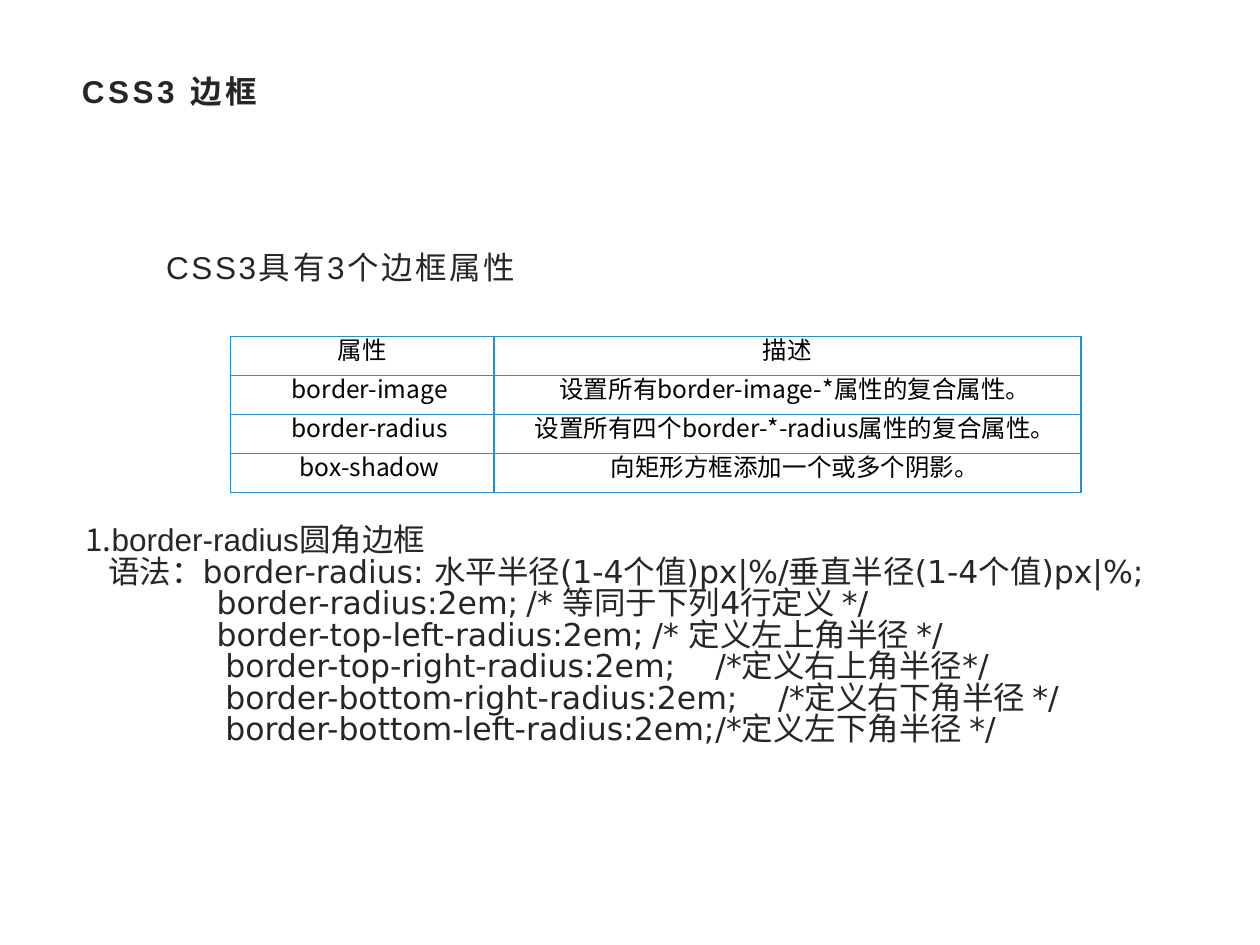
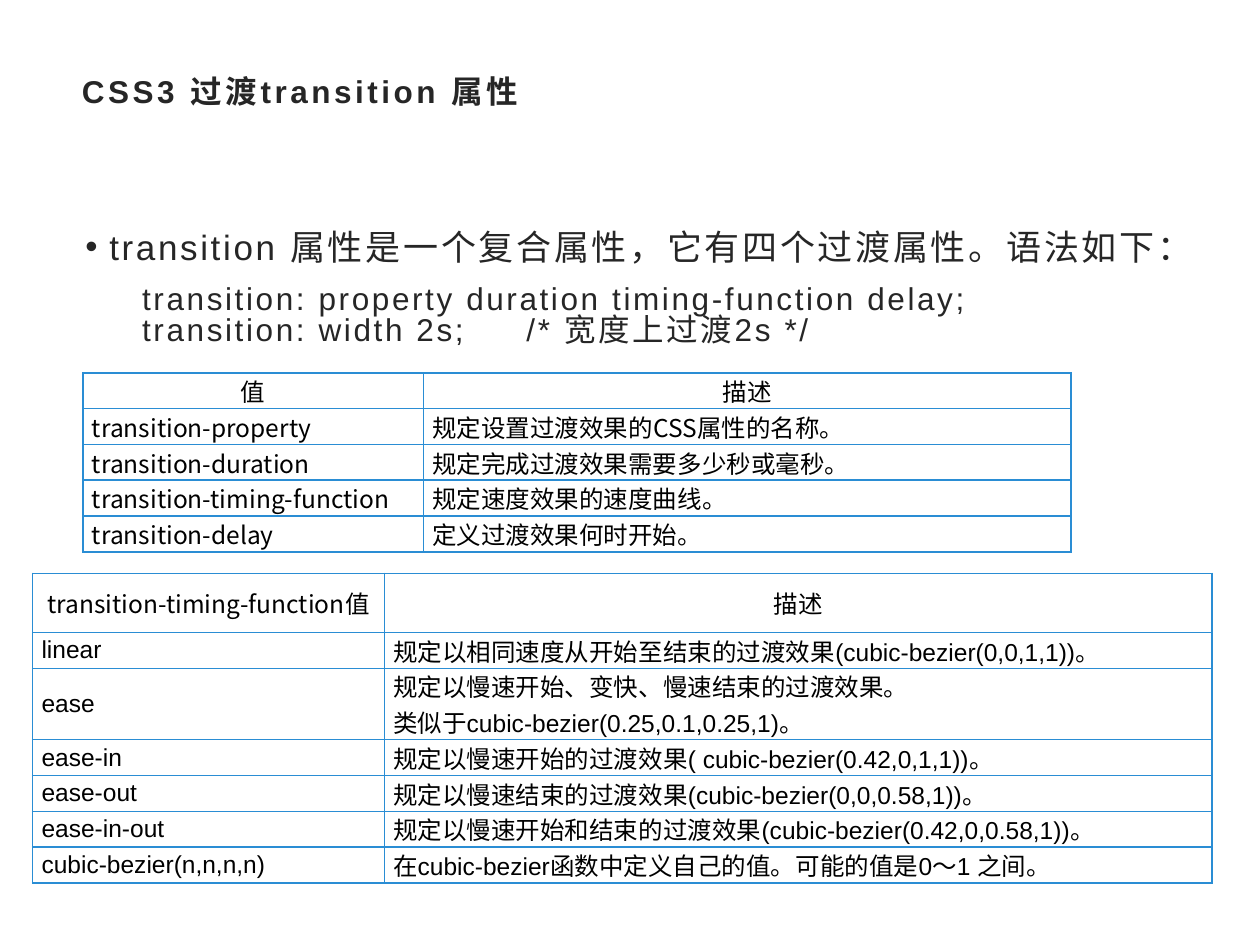
from dataclasses import dataclass, replace
from typing import Optional, Union

from lxml.etree import SubElement
from pptx import Presentation
from pptx.dml.color import RGBColor
from pptx.enum.text import MSO_ANCHOR as Anchor, MSO_AUTO_SIZE as AutoSize, PP_ALIGN as Align
from pptx.oxml import parse_xml
from pptx.oxml.ns import nsdecls, qn
from pptx.util import Pt

EMU_PER_PX = 9144
INK = "262626"
CELL_INK = "000000"
GRID = "2A8DD4"
ARIAL = "Arial"
CJK = "Noto Sans CJK SC"
MONO = "DejaVu Sans"
TITLE_ONLY = 5


@dataclass(frozen=True)
class Style:
    font: str
    size: int
    color: str = INK
    bold: bool = False
    tracking: int = 0


@dataclass(frozen=True)
class Span:
    text: str
    style: Style


@dataclass(frozen=True)
class Para:
    spans: tuple[Span, ...]
    align: Align = Align.LEFT
    spacing: Union[float, Pt] = 1.0
    after: int = 0
    margin: int = 0
    indent: int = 0
    tab: Optional[int] = None
    bullet: bool = False


@dataclass(frozen=True)
class Box:
    left: int
    top: int
    width: int
    height: int


@dataclass(frozen=True)
class Grid:
    left: int
    top: int
    columns: tuple[int, ...]
    rows: tuple[int, ...]
    cells: tuple[tuple[tuple[Para, ...], ...], ...]


TITLE_BOX = Box(55, 48, 890, 48)
TITLE = Style(ARIAL, 18, bold=True, tracking=200)
LEAD = Style(ARIAL, 18, tracking=150)
BIG_LEAD = replace(LEAD, size=20)
CODE = Style(MONO, 18)
CJK_CELL = Style(CJK, 14, CELL_INK)
ARIAL_CELL = Style(ARIAL, 14, CELL_INK)
CODE_SPACING = Pt(18)


def px(value: int) -> int:
    return value * EMU_PER_PX


def rgb(color: str) -> RGBColor:
    return RGBColor.from_string(color)


def line(text: str, style: Style, **layout) -> Para:
    return Para((Span(text, style),), **layout)


def code(text: str, indent: int, tab: Optional[int] = None) -> Para:
    return line(text, CODE, spacing=CODE_SPACING, indent=indent, tab=tab)


def format_run(run, style: Style) -> None:
    run.font.name = style.font
    run.font.size = Pt(style.size)
    run.font.bold = style.bold
    run.font.color.rgb = rgb(style.color)
    properties = run.font._element
    SubElement(properties, qn("a:ea"), typeface=CJK)
    if style.tracking:
        properties.set("spc", str(style.tracking))


def write(frame, paras: tuple[Para, ...]) -> None:
    for index, para in enumerate(paras):
        paragraph = frame.add_paragraph() if index else frame.paragraphs[0]
        properties = paragraph._p.get_or_add_pPr()
        properties.set("marL", str(px(para.margin)))
        properties.set("indent", str(px(para.indent)))
        if para.bullet:
            SubElement(properties, qn("a:buFont"), typeface=ARIAL)
            SubElement(properties, qn("a:buChar"), char="•")
        else:
            SubElement(properties, qn("a:buNone"))
        if para.tab is not None:
            tabs = SubElement(properties, qn("a:tabLst"))
            SubElement(tabs, qn("a:tab"), pos=str(px(para.tab)), algn="l")
        paragraph.alignment = para.align
        paragraph.line_spacing = para.spacing
        paragraph.space_before = Pt(0)
        paragraph.space_after = Pt(para.after)
        for span in para.spans:
            run = paragraph.add_run()
            run.text = span.text
            format_run(run, span.style)


def set_frame(frame, anchor: Anchor) -> None:
    frame.word_wrap = True
    frame.auto_size = AutoSize.NONE
    frame.vertical_anchor = anchor
    frame.margin_left = frame.margin_right = px(10)
    frame.margin_top = frame.margin_bottom = px(5)


def add_page(deck, title: str):
    page = deck.slides.add_slide(deck.slide_layouts[TITLE_ONLY])
    holder = page.shapes.title
    holder.left, holder.top = px(TITLE_BOX.left), px(TITLE_BOX.top)
    holder.width, holder.height = px(TITLE_BOX.width), px(TITLE_BOX.height)
    set_frame(holder.text_frame, Anchor.MIDDLE)
    write(holder.text_frame, (line(title, TITLE),))
    return page


def add_text(page, box: Box, paras: tuple[Para, ...]) -> None:
    shape = page.shapes.add_textbox(px(box.left), px(box.top), px(box.width), px(box.height))
    set_frame(shape.text_frame, Anchor.TOP)
    write(shape.text_frame, paras)


def set_borders(cell) -> None:
    properties = cell._tc.get_or_add_tcPr()
    for index, side in enumerate(("lnL", "lnR", "lnT", "lnB")):
        border = parse_xml(
            f'<a:{side} {nsdecls("a")} w="{Pt(1)}"><a:solidFill>'
            f'<a:srgbClr val="{GRID}"/></a:solidFill></a:{side}>'
        )
        properties.insert(index, border)


def add_grid(page, grid: Grid) -> None:
    table = page.shapes.add_table(
        len(grid.rows), len(grid.columns), px(grid.left), px(grid.top),
        px(sum(grid.columns)), px(sum(grid.rows)),
    ).table
    table.first_row = table.horz_banding = False
    for column, width in zip(table.columns, grid.columns):
        column.width = px(width)
    for row, height, contents in zip(table.rows, grid.rows, grid.cells):
        row.height = px(height)
        for cell, paras in zip(row.cells, contents):
            cell.fill.background()
            set_borders(cell)
            cell.vertical_anchor = Anchor.MIDDLE
            cell.margin_left = cell.margin_right = px(7)
            cell.margin_top = cell.margin_bottom = 0
            write(cell.text_frame, paras)


def cell_rows(rows, style: Style, **layout):
    return tuple(
        tuple(tuple(line(text, style, **layout) for text in cell.splitlines()) for cell in row)
        for row in rows
    )


def build_border_page(deck) -> None:
    page = add_page(deck, "CSS3 边框")
    add_text(page, Box(58, 183, 931, 75), (
        line("CSS3具有3个边框属性", LEAD, spacing=1.3, indent=64),
    ))
    centered = dict(align=Align.CENTER, spacing=Pt(12))
    header = cell_rows((("属性", "描述"),), CJK_CELL, **centered)
    properties = cell_rows((
        ("border-image", "设置所有border-image-*属性的复合属性。"),
        ("border-radius", "设置所有四个border-*-radius属性的复合属性。"),
        ("box-shadow", "向矩形方框添加一个或多个阴影。"),
    ), CJK_CELL, indent=12, **centered)
    add_grid(page, Grid(183, 267, (209, 466), (31,) * 4, header + properties))
    add_text(page, Box(58, 408, 931, 200), (
        Para((Span("1.", Style(CJK, 18)), Span("border-radius圆角边框", Style(ARIAL, 18)))),
        code("语法：border-radius: 水平半径(1-4个值)px|%/垂直半径(1-4个值)px|%;", 18),
        code("border-radius:2em;\t/* 等同于下列4行定义 */", 104, 470),
        code("border-top-left-radius:2em;\t/* 定义左上角半径 */", 104, 522),
        code("border-top-right-radius:2em;\t/*定义右上角半径*/", 111, 531),
        code("border-bottom-right-radius:2em;\t/*定义右下角半径 */", 111, 549),
        code("border-bottom-left-radius:2em;\t/*定义左下角半径 */", 111, 546),
    ))


def build_transition_page(deck) -> None:
    page = add_page(deck, "CSS3 过渡transition 属性")
    syntax = dict(spacing=CODE_SPACING, indent=45)
    add_text(page, Box(58, 164, 933, 100), (
        line("transition 属性是一个复合属性，它有四个过渡属性。语法如下：", BIG_LEAD,
             spacing=1.3, after=10, margin=19, indent=-19, bullet=True),
        line("transition: property duration timing-function delay;", LEAD, **syntax),
        line("transition: width 2s;\t/* 宽度上过渡2s */", LEAD, tab=330, **syntax),
    ))
    header = cell_rows((("值", "描述"),), CJK_CELL, align=Align.CENTER)
    properties = cell_rows((
        ("transition-property", "规定设置过渡效果的CSS属性的名称。"),
        ("transition-duration", "规定完成过渡效果需要多少秒或毫秒。"),
        ("transition-timing-function", "规定速度效果的速度曲线。"),
        ("transition-delay", "定义过渡效果何时开始。"),
    ), CJK_CELL, align=Align.JUSTIFY)
    add_grid(page, Grid(66, 296, (270, 514), (24,) * 5, header + properties))

    timing_header = ((
        (Para((Span("transition-timing-function", CJK_CELL), Span("值", ARIAL_CELL)),
              align=Align.CENTER),),
        (line("描述", ARIAL_CELL, align=Align.CENTER),),
    ),)
    timings = cell_rows((
        ("linear", "规定以相同速度从开始至结束的过渡效果(cubic-bezier(0,0,1,1))。"),
        ("ease", "规定以慢速开始、变快、慢速结束的过渡效果。\n类似于cubic-bezier(0.25,0.1,0.25,1)。"),
        ("ease-in", "规定以慢速开始的过渡效果( cubic-bezier(0.42,0,1,1))。"),
        ("ease-out", "规定以慢速结束的过渡效果(cubic-bezier(0,0,0.58,1))。"),
        ("ease-in-out", "规定以慢速开始和结束的过渡效果(cubic-bezier(0.42,0,0.58,1))。"),
        ("cubic-bezier(n,n,n,n)", "在cubic-bezier函数中定义自己的值。可能的值是0～1 之间。"),
    ), ARIAL_CELL, align=Align.JUSTIFY)
    add_grid(page, Grid(26, 455, (279, 657), (47, 24, 48, 24, 24, 24, 24),
                        timing_header + timings))


def main() -> None:
    deck = Presentation()
    deck.slide_width, deck.slide_height = px(1000), px(750)
    build_border_page(deck)
    build_transition_page(deck)
    deck.save("out.pptx")


if __name__ == "__main__":
    main()
